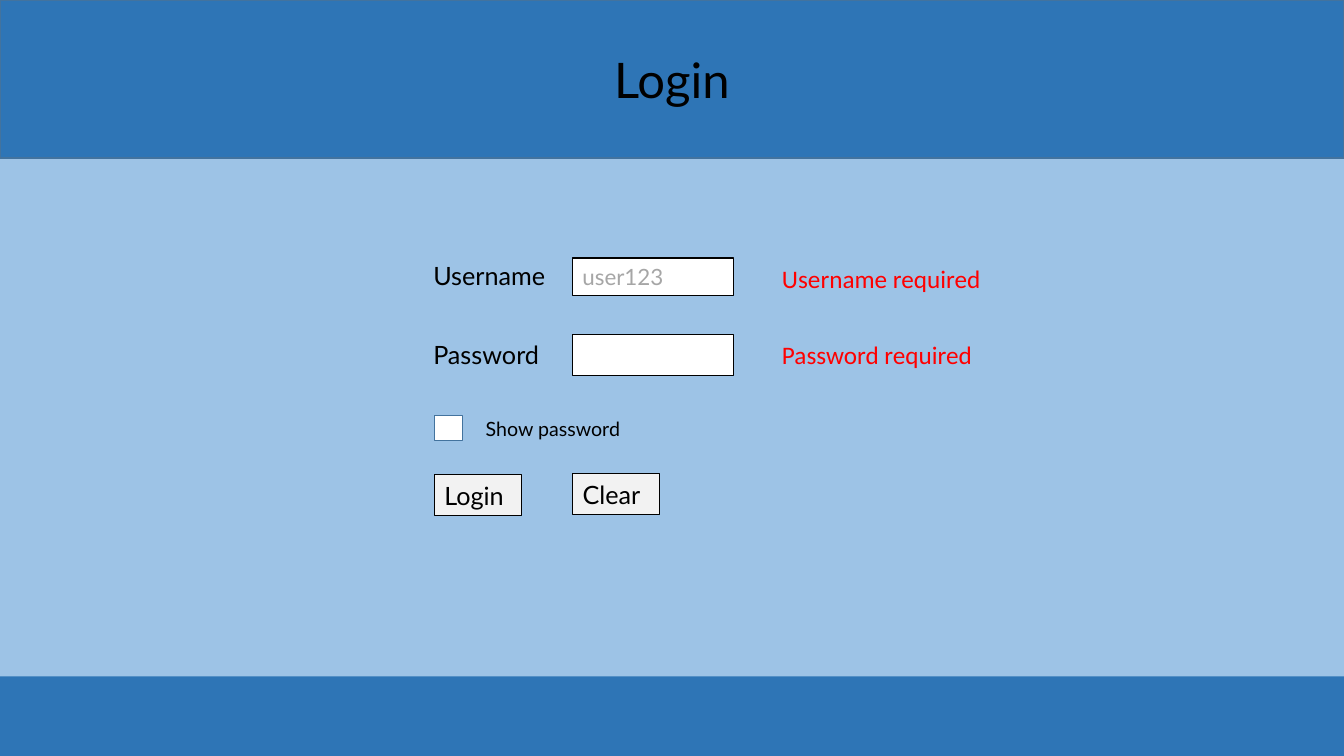
"""Build a login form slide with header and footer bands."""
from dataclasses import dataclass

from pptx import Presentation
from pptx.dml.color import RGBColor
from pptx.enum.shapes import MSO_SHAPE
from pptx.enum.text import MSO_ANCHOR, MSO_AUTO_SIZE, PP_ALIGN
from pptx.slide import Slide
from pptx.text.text import TextFrame
from pptx.util import Pt

WIDTH, HEIGHT = 960, 540
LABEL_X, CONTROL_X, FIELD_X, ERROR_X = 302.4, 310.3, 409, 551.5
USERNAME_Y, PASSWORD_Y, BUTTON_Y = 184.3, 239, 339.1
ROW_H, LABEL_W, FIELD_W, BUTTON_W, ERROR_W = 29, 106.6, 115.2, 62, 199.4
BLACK, WHITE, RED = "000000", "FFFFFF", "FF0000"
BAND_BLUE, EDGE_BLUE, PAGE_BLUE = "2E75B6", "43739E", "9DC3E6"
BUTTON_GREY, HINT_GREY = "F2F2F2", "A6A6A6"


@dataclass(frozen=True)
class Box:
    left: float
    top: float
    width: float
    height: float
    fill: str
    edge: str | None = None
    edge_width: float = 0.75
    text: str = ""
    size: float = 18
    color: str = BLACK


@dataclass(frozen=True)
class Label:
    left: float
    top: float
    width: float
    height: float
    text: str
    size: float = 18
    color: str = BLACK
    font: str = "Lato"


BANDS = [
    Box(0, 483.1, WIDTH, 56.9, BAND_BLUE),
    Box(0, 0, WIDTH, 113, BAND_BLUE, EDGE_BLUE, 1),
]
CONTROLS = [
    Box(FIELD_X, USERNAME_Y, FIELD_W, 26.6, WHITE, BLACK,
        text="user123", size=16, color=HINT_GREY),
    Box(FIELD_X, PASSWORD_Y, FIELD_W, ROW_H, WHITE, BLACK),
    Box(CONTROL_X, 296.6, 20.2, 18, WHITE, EDGE_BLUE, 1),
    Box(CONTROL_X, BUTTON_Y, BUTTON_W, ROW_H, BUTTON_GREY, BLACK, text="Login"),
    Box(FIELD_X, BUTTON_Y - 0.7, BUTTON_W, ROW_H, BUTTON_GREY, BLACK, text="Clear"),
]
LABELS = [
    Label(LABEL_X, 182.2, LABEL_W, ROW_H, "Username"),
    Label(LABEL_X, PASSWORD_Y, LABEL_W, ROW_H, "Password"),
    Label(339.8, 293.8, 139, 24.5, "Show password", 14),
    Label(ERROR_X, USERNAME_Y, ERROR_W, ROW_H, "Username required", 18, RED, "Calibri"),
    Label(ERROR_X, PASSWORD_Y, ERROR_W, ROW_H, "Password required", 18, RED, "Calibri"),
]


def rgb(value: str) -> RGBColor:
    return RGBColor.from_string(value)


def write(frame: TextFrame, text: str, size: float, color: str,
          font: str = "Lato", align: PP_ALIGN = PP_ALIGN.LEFT) -> None:
    frame.word_wrap = True
    frame.auto_size = MSO_AUTO_SIZE.NONE
    frame.vertical_anchor = MSO_ANCHOR.MIDDLE
    paragraph = frame.paragraphs[0]
    paragraph.alignment = align
    run = paragraph.add_run()
    run.text = text
    run.font.size = Pt(size)
    run.font.name = font
    run.font.color.rgb = rgb(color)


def draw_box(slide: Slide, box: Box) -> None:
    rectangle = slide.shapes.add_shape(
        MSO_SHAPE.RECTANGLE, Pt(box.left), Pt(box.top), Pt(box.width), Pt(box.height))
    rectangle.shadow.inherit = False
    rectangle.fill.solid()
    rectangle.fill.fore_color.rgb = rgb(box.fill)
    if box.edge:
        rectangle.line.color.rgb = rgb(box.edge)
        rectangle.line.width = Pt(box.edge_width)
    else:
        rectangle.line.fill.background()
    if box.text:
        write(rectangle.text_frame, box.text, box.size, box.color)


def draw_label(slide: Slide, label: Label) -> None:
    caption = slide.shapes.add_textbox(
        Pt(label.left), Pt(label.top), Pt(label.width), Pt(label.height))
    write(caption.text_frame, label.text, label.size, label.color, label.font)


def draw_heading(slide: Slide, text: str) -> None:
    heading = slide.shapes.title
    heading.left, heading.top = Pt(0), Pt(31.7)
    heading.width, heading.height = Pt(WIDTH), Pt(49.7)
    write(heading.text_frame, text, 35, BLACK, align=PP_ALIGN.CENTER)
    heading.element.getparent().append(heading.element)


def main() -> None:
    deck = Presentation()
    deck.slide_width, deck.slide_height = Pt(WIDTH), Pt(HEIGHT)
    slide = deck.slides.add_slide(deck.slide_layouts.get_by_name("Title Only"))
    slide.background.fill.solid()
    slide.background.fill.fore_color.rgb = rgb(PAGE_BLUE)
    for band in BANDS:
        draw_box(slide, band)
    draw_heading(slide, "Login")
    for control in CONTROLS:
        draw_box(slide, control)
    for label in LABELS:
        draw_label(slide, label)
    deck.save("out.pptx")


if __name__ == "__main__":
    main()
